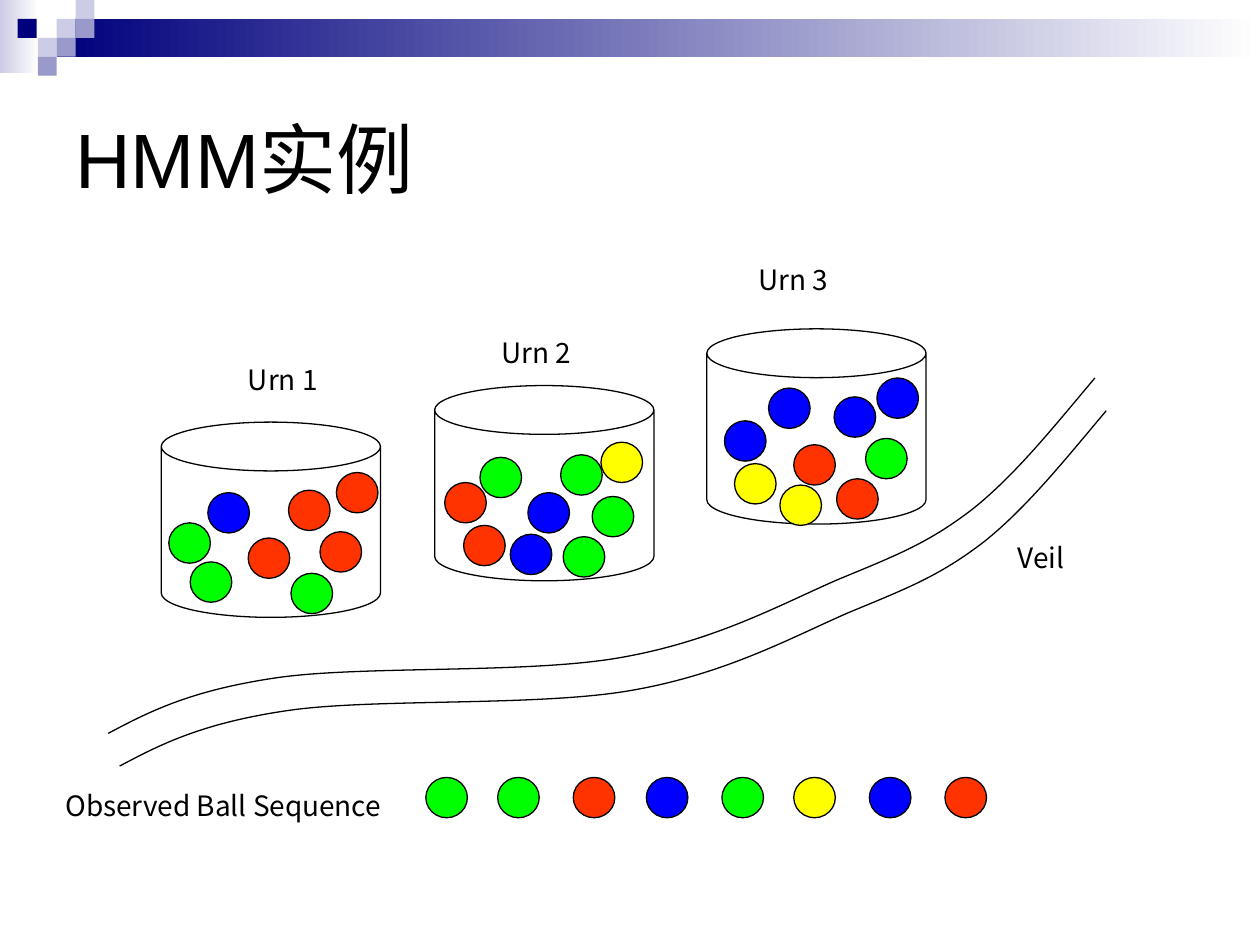
from lxml import etree
from pptx import Presentation
from pptx.dml.color import RGBColor
from pptx.enum.shapes import MSO_SHAPE
from pptx.enum.text import MSO_ANCHOR, PP_ALIGN
from pptx.oxml.ns import qn
from pptx.util import Pt

PX = 9144  # EMU per px, 100 px to the inch
RECT, OVAL, CAN = MSO_SHAPE.RECTANGLE, MSO_SHAPE.OVAL, MSO_SHAPE.CAN
TOP, MIDDLE = MSO_ANCHOR.TOP, MSO_ANCHOR.MIDDLE
JUSTIFY = PP_ALIGN.JUSTIFY
BLACK, WHITE, NAVY = "000000", "FFFFFF", "00007D"
LILAC, VIOLET = "CCCCE6", "9999CC"
BALL_COLORS = {"R": "FF3300", "G": "00FF00", "B": "0000FF", "Y": "FFFF00"}

deck = Presentation()
deck.slide_width, deck.slide_height = 1000 * PX, 750 * PX
page = deck.slides.add_slide(deck.slide_layouts[6])


def rgb(color):
    return RGBColor.from_string(color)


def add_shape(kind, left, top, width, height, fill=None, line=None):
    shape = page.shapes.add_shape(kind, left * PX, top * PX, width * PX, height * PX)
    shape.shadow.inherit = False
    if fill:
        shape.fill.solid()
        shape.fill.fore_color.rgb = rgb(fill)
    else:
        shape.fill.background()
    if line:
        shape.line.color.rgb = rgb(line)
        shape.line.width = Pt(0.75)
    else:
        shape.line.fill.background()
    return shape


# Header bands fading to white
for left, top, width, height, color in [(0, 0, 31, 58, LILAC), (45, 15, 955, 30, NAVY)]:
    band = add_shape(RECT, left, top, width, height)
    band.fill.gradient()
    band.fill.gradient_angle = 0
    for stop, position, stop_color in zip(band.fill.gradient_stops, (0, 1), (color, WHITE)):
        stop.position = position
        stop.color.rgb = rgb(stop_color)

# Header squares
for left, top, color in [(45, 15, LILAC), (60, 0, LILAC), (60, 15, VIOLET), (30, 30, LILAC),
                         (14, 15, NAVY), (45, 30, VIOLET), (30, 45, VIOLET)]:
    add_shape(RECT, left, top, 15, 15, color)

# Title
box = page.shapes.add_textbox(50 * PX, 50 * PX, 900 * PX, 150 * PX)
box.text_frame.word_wrap = True
box.text_frame.vertical_anchor = MIDDLE
para = box.text_frame.paragraphs[0]
para.font.size = Pt(44)
para.font.color.rgb = rgb(BLACK)
for text, font in [("HMM", "Arial"), ("实例", "Noto Sans CJK SC")]:
    span = para.add_run()
    span.text = text
    span.font.name = font
    east_asian = etree.SubElement(span.font._element, qn("a:ea"))
    east_asian.set("typeface", "Noto Sans CJK SC")

# Labels
for text, left, top, width, height, inset in [
        ("Observed Ball Sequence", 42, 621, 272, 37, 5), ("Urn 1", 187, 288, 77, 32, 0),
        ("Urn 2", 388, 266, 77, 32, 0), ("Urn 3", 592, 208, 77, 32, 0),
        ("Veil", 798, 429, 57, 32, 0)]:
    box = page.shapes.add_textbox(left * PX, top * PX, width * PX, height * PX)
    box.text_frame.word_wrap = False
    box.text_frame.vertical_anchor = TOP
    box.text_frame.margin_top = inset * PX
    para = box.text_frame.paragraphs[0]
    para.text = text
    para.alignment = JUSTIFY
    para.font.size = Pt(16)
    para.font.name = "Noto Sans CJK KR"
    para.font.color.rgb = rgb(BLACK)

# Urns
for left, top in [(128, 335), (345, 306), (561, 261)]:
    add_shape(CAN, left, top, 174, 155, line=BLACK)

# Balls in the urns, then the observed sequence
balls = [
    ("B", 165, 391), ("R", 229, 389), ("G", 151, 446), ("R", 254, 422),
    ("R", 197, 427), ("G", 231, 455), ("R", 267, 375), ("G", 134, 415),
    ("G", 381, 363), ("G", 445, 361), ("R", 368, 417), ("G", 470, 394), ("B", 419, 391),
    ("G", 447, 426), ("R", 353, 383), ("B", 405, 424), ("Y", 477, 351),
    ("B", 610, 308), ("B", 662, 315), ("Y", 583, 368), ("G", 687, 348), ("R", 630, 353),
    ("R", 664, 380), ("B", 575, 334), ("B", 696, 300), ("Y", 619, 385),
]
sequence_lefts = (338, 395, 455, 513, 573, 630, 690, 750)
balls += [(letter, left, 617) for letter, left in zip("GGRBGYBR", sequence_lefts)]
for letter, left, top in balls:
    add_shape(OVAL, left, top, 33, 32, BALL_COLORS[letter], BLACK)

# Veil: two parallel curves, a start point followed by Bezier triples
veil = [(86, 582), (118, 565), (151, 548), (219, 538), (286, 528), (418, 535), (492, 522),
        (567, 509), (619, 480), (665, 460), (711, 441), (737, 431), (772, 404),
        (806, 377), (837, 338), (869, 300)]
for shift_x, shift_y in [(0, 0), (9, 26)]:
    points = [(x + shift_x, y + shift_y) for x, y in veil]
    builder = page.shapes.build_freeform(*points[0], scale=PX)
    builder.add_line_segments(points[1:], close=False)
    curve = builder.convert_to_shape()
    curve.shadow.inherit = False
    curve.fill.background()
    curve.line.color.rgb = rgb(BLACK)
    curve.line.width = Pt(0.75)
    segments = list(curve._element.iter(qn("a:lnTo")))
    for first in range(0, len(segments), 3):
        bezier = etree.Element(qn("a:cubicBezTo"))
        segments[first].addprevious(bezier)
        for segment in segments[first:first + 3]:
            bezier.append(segment[0])
            segment.getparent().remove(segment)

deck.save("out.pptx")
